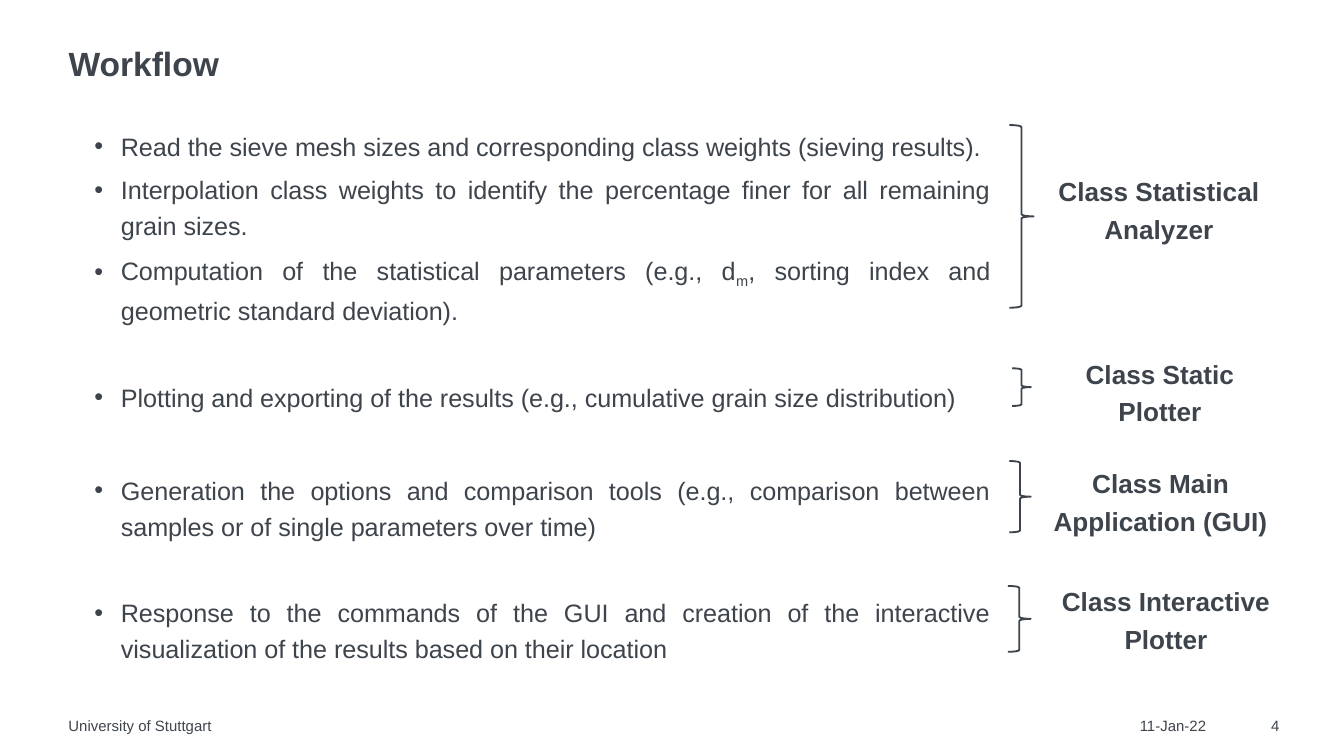
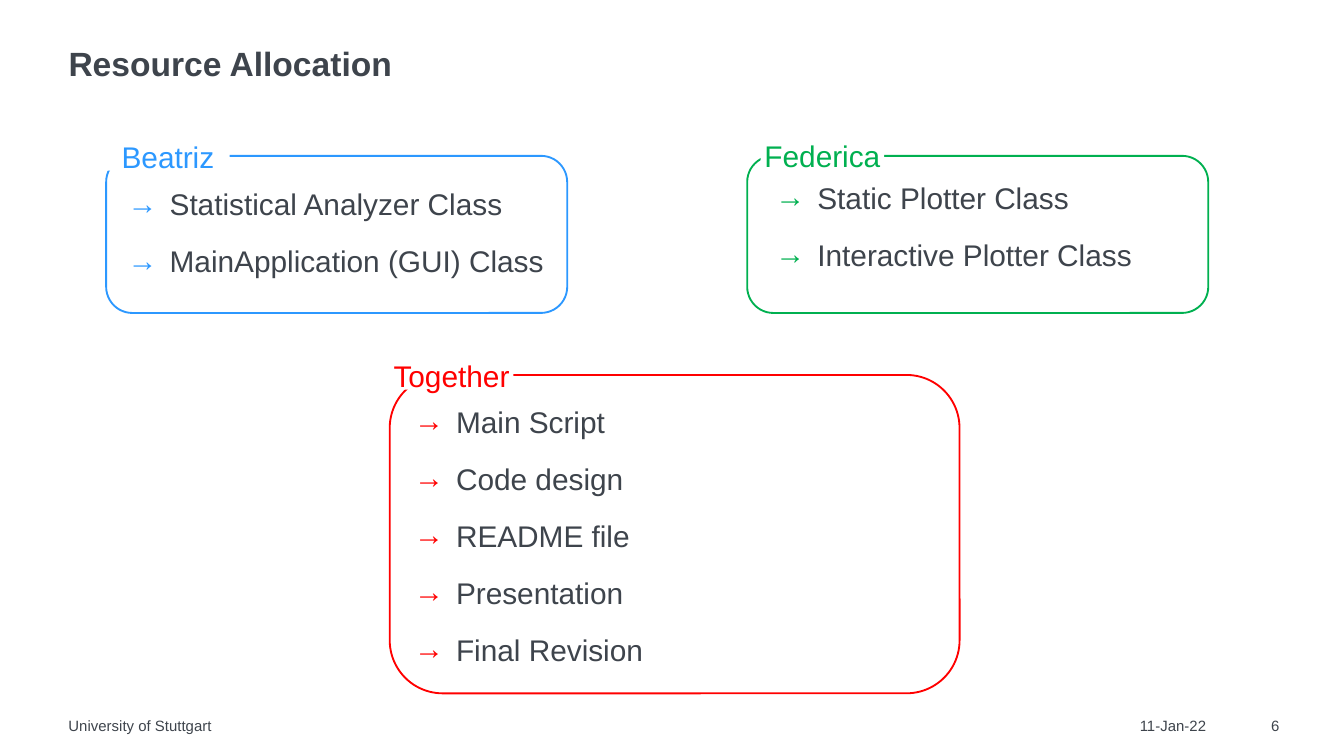
import pptx
import pptx.dml.color
import pptx.enum.shapes
import pptx.enum.text
import pptx.oxml.ns
import pptx.util
from lxml import etree

Pt = pptx.util.Pt
RGBColor = pptx.dml.color.RGBColor
Align = pptx.enum.text.PP_ALIGN
Shape = pptx.enum.shapes.MSO_SHAPE

DARK = RGBColor(0x3E, 0x44, 0x4C)
WHITE = RGBColor(0xFF, 0xFF, 0xFF)
BLUE = RGBColor(0x2C, 0x98, 0xFF)
GREEN = RGBColor(0x00, 0xB0, 0x50)
RED = RGBColor(0xFF, 0x00, 0x00)
FONT = "Arial"
MARGIN = 36.7
FOOTER_TOP = 383.8
TITLE_ONLY = 5

WORKFLOW_STEPS = [
    (("Read the sieve mesh sizes and corresponding class weights (sieving results).",), 3.8),
    (("Interpolation class weights to identify the percentage finer for all remaining grain sizes.",), 3.8),
    (("Computation of the statistical parameters (e.g., d", "m",
      ", sorting index and geometric standard deviation)."), 3.8),
    (("Plotting and exporting of the results (e.g., cumulative grain size distribution)",), 27),
    (("Generation the options and comparison tools (e.g., comparison between samples "
      "or of single parameters over time)",), 30.5),
    (("Response to the commands of the GUI and creation of the interactive visualization "
      "of the results based on their location",), 26.7),
]

CLASS_BRACES = [
    ("Class Statistical Analyzer", (560, 90.7, 121.7, 38.9), (540.7, 67, 13, 97.9)),
    ("Class Static Plotter", (567.4, 188.6, 108, 38.9), (542.2, 197.3, 10.1, 20.2)),
    ("Class Main Application (GUI)", (557.3, 247, 128.9, 38.9), (540.7, 247, 11.5, 38.2)),
    ("Class Interactive Plotter", (567.4, 310.3, 114.5, 38.9), (540, 313.9, 12.2, 35.3)),
]

TEAMS = [
    ("Beatriz", BLUE, (56.9, 83.5, 247, 84.2), (56.9, 70.6), (68.4, 95.8),
     ["Statistical Analyzer Class", "MainApplication (GUI) Class"]),
    ("Together", RED, (208.8, 200.9, 305.3, 170.6), (208.8, 187.9), (221.8, 212.4),
     ["Main Script", "Code design", "README file", "Presentation", "Final Revision"]),
    ("Federica", GREEN, (400.3, 83.5, 247, 84.2), (407.5, 69.8), (415.4, 92.2),
     ["Static Plotter Class", "Interactive Plotter Class"]),
]


def points(*lengths):
    return [Pt(length) for length in lengths]


def add_bullet(paragraph, character, color, indent, hanging):
    properties = paragraph._p.get_or_add_pPr()
    properties.set("marL", str(Pt(indent)))
    properties.set("indent", str(-Pt(hanging)))
    qualified = pptx.oxml.ns.qn
    bullet_color = etree.SubElement(properties, qualified("a:buClr"))
    etree.SubElement(bullet_color, qualified("a:srgbClr")).set("val", str(color))
    etree.SubElement(properties, qualified("a:buFont")).set("typeface", FONT)
    etree.SubElement(properties, qualified("a:buChar")).set("char", character)


def write_text(shape, *parts, size=14, color=DARK, bold=False, align=Align.LEFT,
               line_spacing=1.0, space_before=0, bullet=None):
    frame = shape.text_frame
    paragraph = frame.paragraphs[0]
    if paragraph.runs:
        paragraph = frame.add_paragraph()
    paragraph.alignment = align
    paragraph.line_spacing = line_spacing
    paragraph.space_before = Pt(space_before)
    if bullet:
        add_bullet(paragraph, *bullet)
    for index, part in enumerate(parts):
        run = paragraph.add_run()
        run.text = part
        run.font.name = FONT
        run.font.size = Pt(size)
        run.font.bold = bold
        run.font.color.rgb = color
        if index % 2:
            run._r.get_or_add_rPr().set("baseline", "-25000")


def prepare_frame(shape):
    frame = shape.text_frame
    frame.margin_left = frame.margin_top = frame.margin_right = frame.margin_bottom = 0
    frame.word_wrap = True
    frame.auto_size = pptx.enum.text.MSO_AUTO_SIZE.NONE
    frame.vertical_anchor = pptx.enum.text.MSO_ANCHOR.TOP
    return shape


def add_text_box(shapes, box):
    return prepare_frame(shapes.add_textbox(*points(*box)))


def add_outline(shapes, kind, box, color):
    shape = shapes.add_shape(kind, *points(*box))
    shape.shadow.inherit = False
    shape.fill.background()
    shape.line.color.rgb = color
    shape.line.width = Pt(1)


def add_titled_slide(presentation, title, number):
    slide = presentation.slides.add_slide(presentation.slide_layouts[TITLE_ONLY])
    placeholder = prepare_frame(slide.shapes.title)
    placeholder.left, placeholder.top, placeholder.width, placeholder.height = points(
        MARGIN, 25.2, 649.4, 20.2)
    write_text(placeholder, title, size=18, bold=True, line_spacing=0.9)
    for text, left, width, align in [
        ("11-Jan-22", 610.6, 41.8, Align.LEFT),
        ("University of Stuttgart", MARGIN, 477.4, Align.LEFT),
        (str(number), 668.2, 17.3, Align.RIGHT),
    ]:
        footer = add_text_box(slide.shapes, (left, FOOTER_TOP, width, 9.4))
        write_text(footer, text, size=8, align=align)
    return slide


def add_workflow(slide):
    steps = add_text_box(slide.shapes, (MARGIN, 67, 493.9, 291.6))
    for parts, space_before in WORKFLOW_STEPS:
        write_text(steps, *parts, size=13.5, align=Align.JUSTIFY, line_spacing=1.2,
                   space_before=space_before, bullet=("•", DARK, 28.1, 14.2))
    for name, label_box, brace_box in CLASS_BRACES:
        label = add_text_box(slide.shapes, label_box)
        write_text(label, name, bold=True, align=Align.CENTER, line_spacing=1.2,
                   space_before=7.5)
        add_outline(slide.shapes, Shape.RIGHT_BRACE, brace_box, DARK)


def add_team(slide, name, color, frame_box, label_corner, list_corner, tasks):
    shapes = slide.shapes.add_group_shape().shapes
    task_list = add_text_box(shapes, (*list_corner, 251.3, 30 * len(tasks) - 5))
    for task in tasks:
        write_text(task_list, task, size=16, align=Align.JUSTIFY, line_spacing=1.2,
                   space_before=7.5, bullet=("→", color, 22.5, 22.5))
    add_outline(shapes, Shape.ROUNDED_RECTANGLE, frame_box, color)
    label = prepare_frame(shapes.add_shape(Shape.RECTANGLE, *points(*label_corner, 66.2, 20.9)))
    label.shadow.inherit = False
    label.fill.solid()
    label.fill.fore_color.rgb = WHITE
    label.line.fill.background()
    write_text(label, name, size=16, color=color, align=Align.CENTER, line_spacing=1.2,
               space_before=7.5)


def main():
    presentation = pptx.Presentation()
    presentation.slide_width, presentation.slide_height = points(720, 405)
    add_workflow(add_titled_slide(presentation, "Workflow", 4))
    allocation = add_titled_slide(presentation, "Resource Allocation", 6)
    for team in TEAMS:
        add_team(allocation, *team)
    presentation.save("out.pptx")


if __name__ == "__main__":
    main()
